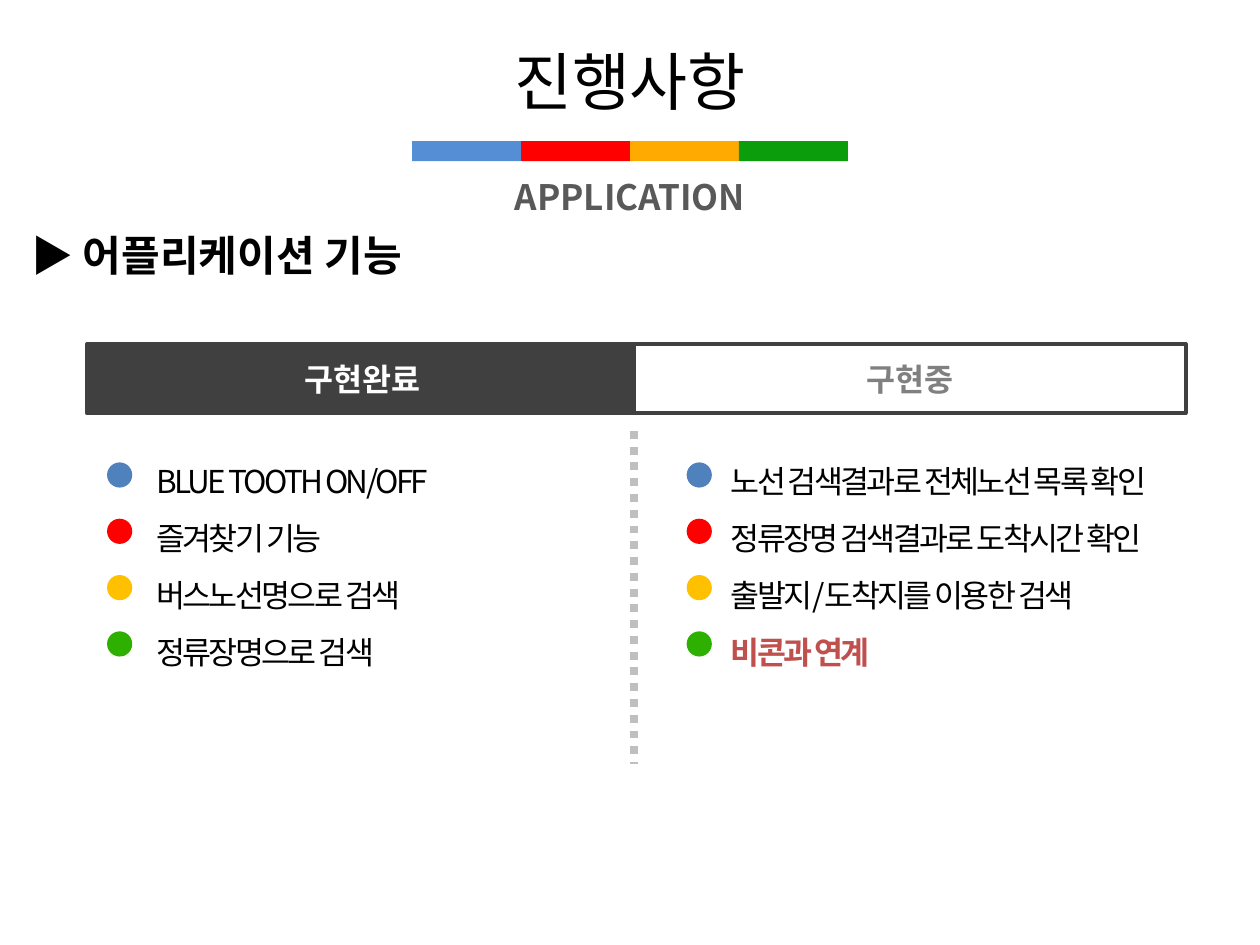
from pptx import Presentation
from pptx.dml.color import RGBColor
from pptx.enum.dml import MSO_LINE as Dash
from pptx.enum.shapes import MSO_CONNECTOR as Link, MSO_SHAPE as Form
from pptx.enum.text import MSO_ANCHOR as Anchor, MSO_AUTO_SIZE as Fit, PP_ALIGN as Align
from pptx.oxml.ns import qn
from pptx.util import Inches, Pt

FONT = "Noto Sans CJK KR"
COLS, ROWS = 100, 75
WIDE, HIGH = Inches(10), Inches(7.5)
BARS = ["558ED5", "FF0000", "FFAA01", "0B9D0B"]
DOTS = ["4F81BD", "FF0000", "FFC000", "2DB000"]
DONE = ["BLUE TOOTH ON/OFF", "즐겨찾기 기능", "버스노선명으로 검색", "정류장명으로 검색"]
DOING = ["노선 검색결과로 전체노선 목록 확인", "정류장명 검색결과로 도착시간 확인",
         "출발지/도착지를 이용한 검색", "비콘과 연계"]


def color(code):
    """Turn a hex string into a colour."""
    return RGBColor.from_string(code)


def grid(x, y, w, h):
    """Turn columns and rows of the grid into slide lengths."""
    return (round(x * WIDE / COLS), round(y * HIGH / ROWS),
            round(w * WIDE / COLS), round(h * HIGH / ROWS))


def style(para, size, code, bold=False, gap=None):
    """Format every run of a paragraph."""
    for run in para.runs:
        font = run.font
        font.size, font.bold, font.name = Pt(size), bold, FONT
        font.color.rgb = color(code)
        props = font._element
        props.get_or_add_latin().addnext(props.makeelement(qn("a:ea"), {"typeface": FONT}))
        if gap:
            props.set("spc", str(gap))


def move(shape, box):
    """Put a shape in a box of the grid."""
    shape.left, shape.top, shape.width, shape.height = grid(*box)


def block(slide, form, box, fill, edge=None):
    """Draw a filled preset shape."""
    shape = slide.shapes.add_shape(form, *grid(*box))
    shape.shadow.inherit = False
    shape.fill.solid()
    shape.fill.fore_color.rgb = color(fill)
    if edge:
        shape.line.color.rgb = color(edge)
        shape.line.width = Pt(2.25)
    else:
        shape.line.fill.background()
    return shape


def title(slide, box):
    """Fill the title placeholder."""
    shape = slide.shapes.title
    move(shape, box)
    frame = shape.text_frame
    frame.text = "진행사항"
    frame.auto_size, frame.word_wrap = Fit.NONE, False
    frame.vertical_anchor = Anchor.TOP
    frame.paragraphs[0].alignment = Align.CENTER
    style(frame.paragraphs[0], 36, "000000")


def stripe(slide, box):
    """Draw the row of coloured bars across the box."""
    x, y, w, h = box
    step = w / len(BARS)
    for i, code in enumerate(BARS):
        block(slide, Form.RECTANGLE, (x + i * step, y, step, h), code)


def label(slide, box, text, size, code, align, inset=0.1):
    """Write one bold line in a text box."""
    frame = slide.shapes.add_textbox(*grid(*box)).text_frame
    frame.word_wrap = True
    frame.margin_left = Inches(inset)
    frame.text = text
    frame.paragraphs[0].alignment = align
    style(frame.paragraphs[0], size, code, True)


def header(slide, box, text, fill, ink):
    """Draw the heading cell of a column."""
    shape = block(slide, Form.RECTANGLE, box, fill, "404040")
    frame = shape.text_frame
    frame.text = text
    frame.vertical_anchor = Anchor.MIDDLE
    frame.paragraphs[0].alignment = Align.CENTER
    style(frame.paragraphs[0], 18, ink, True)


def points(slide, body, box, items, shift, hot=None):
    """Fill a body placeholder and set a coloured dot by each item."""
    move(body, box)
    frame = body.text_frame
    frame.text = "\n".join(items)
    frame.auto_size, frame.word_wrap = Fit.NONE, True
    for item, para in zip(items, frame.paragraphs):
        para.line_spacing, para.space_before = 1.5, Pt(0)
        props = para._p.get_or_add_pPr()
        props.set("marL", str(Inches(0.31)))
        props.set("indent", str(-Inches(0.31)))
        marked = item == hot
        style(para, 18, "C0504D" if marked else "000000", marked, -150)
    x, y = box[:2]
    for i, code in enumerate(DOTS):
        block(slide, Form.OVAL, (x + shift, y + 2 + i * 4.47, 2, 2), code)


def divider(slide, box):
    """Draw the dotted line between the columns."""
    x, y, w, h = grid(*box)
    line = slide.shapes.add_connector(Link.STRAIGHT, x, y, x + w, y + h)
    line.line.color.rgb = color("BFBFBF")
    line.line.width = Pt(4.5)
    line.line.dash_style = Dash.ROUND_DOT
    props = line._element.spPr
    props.append(props.makeelement(qn("a:effectLst"), {}))


def main():
    """Build the slide and save it."""
    deck = Presentation()
    deck.slide_width, deck.slide_height = WIDE, HIGH
    slide = deck.slides.add_slide(deck.slide_layouts[3])
    left, right = slide.placeholders[1], slide.placeholders[2]
    divider(slide, (50.3, 34.2, 0, 26.4))
    title(slide, (39.8, 2.9, 20.4, 7.1))
    stripe(slide, (32.7, 11.2, 34.6, 1.6))
    label(slide, (32.7, 13.4, 34.6, 4.4), "APPLICATION", 20, "595959", Align.CENTER)
    label(slide, (0, 17.7, 100, 5), "▶ 어플리케이션 기능", 24, "000000", Align.LEFT, 0.25)
    header(slide, (6.9, 27.3, 43.8, 5.5), "구현완료", "404040", "FFFFFF")
    header(slide, (50.3, 27.3, 43.8, 5.5), "구현중", "FFFFFF", "808080")
    points(slide, left, (8.3, 34.7, 27.4, 19.2), DONE, 0.2)
    points(slide, right, (53.9, 34.7, 42.6, 28.3), DOING, 0.6, DOING[-1])
    deck.save("out.pptx")


if __name__ == "__main__":
    main()
